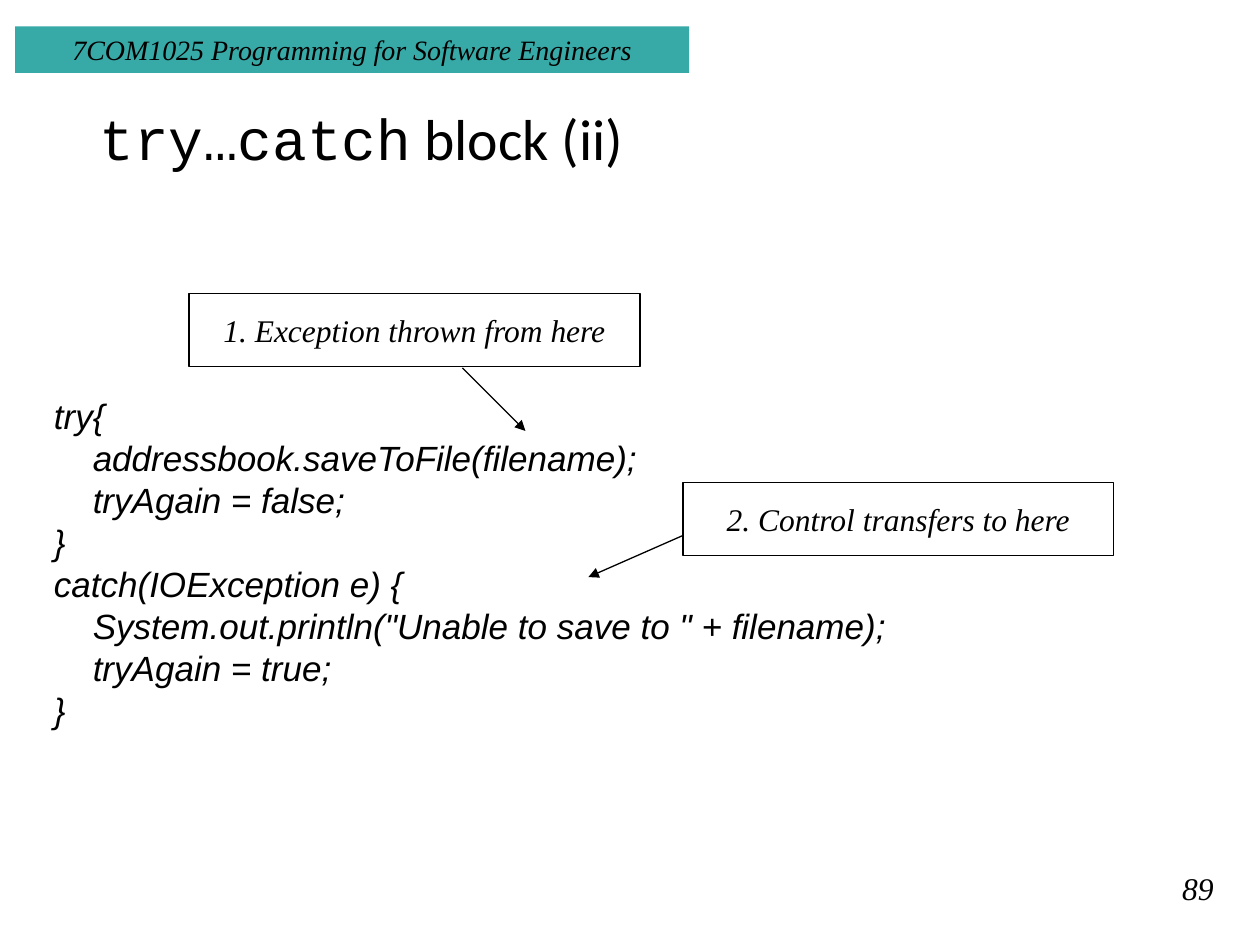
from collections import namedtuple
from dataclasses import dataclass

from lxml import etree
from pptx import Presentation
from pptx import util as u
from pptx.dml.color import RGBColor
from pptx.enum import shapes, text
from pptx.oxml.ns import qn

PX = 9144
Box = namedtuple("Box", "left top width height")


@dataclass(frozen=True)
class Theme:
    ink: RGBColor = RGBColor(0, 0, 0)
    band: RGBColor = RGBColor(0x37, 0xAA, 0xA7)
    serif: str = "Times New Roman"
    code: str = "Arial"
    title: str = "Calibri"
    mono: str = "Courier New"
    band_size: int = 16
    note_size: int = 18
    code_size: int = 20
    title_size: int = 33
    line_width: float = 0.75


THEME = Theme()

CODE = """try{
    addressbook.saveToFile(filename);
    tryAgain = false;
}
catch(IOException e) {
    System.out.println("Unable to save to " + filename);
    tryAgain = true;
}"""

CALLOUTS = [
    ("1. Exception thrown from here", Box(150, 233, 358, 58), (217, 59), (267, 109)),
    ("2. Control transfers to here", Box(542, 383, 342, 58), (0, 42), (-75, 75)),
]


def emu(lengths):
    return [u.Emu(length * PX) for length in lengths]


def style(para, font, size, italic=True):
    para.font.name = font
    para.font.size = u.Pt(size)
    para.font.italic = italic
    para.font.color.rgb = THEME.ink


def add_rectangle(page, box):
    shape = page.shapes.add_shape(shapes.MSO_SHAPE.RECTANGLE, *emu(box))
    shape.shadow.inherit = False
    return shape


def add_label(shape, words, size, align):
    frame = shape.text_frame
    frame.word_wrap = True
    para = frame.paragraphs[0]
    para.text = words
    para.alignment = align
    style(para, THEME.serif, size)
    return frame


def add_header(page, box):
    band = add_rectangle(page, box)
    band.fill.solid()
    band.fill.fore_color.rgb = THEME.band
    band.line.fill.background()
    frame = add_label(band, "7COM1025 Programming for Software Engineers",
                      THEME.band_size, text.PP_ALIGN.CENTER)
    frame.vertical_anchor = text.MSO_ANCHOR.TOP


def add_page_number(page, box):
    add_label(page.shapes.add_textbox(*emu(box)), "89",
              THEME.note_size, text.PP_ALIGN.RIGHT)


def add_title(page, box):
    frame = page.shapes.add_textbox(*emu(box)).text_frame
    frame.word_wrap = True
    frame.vertical_anchor = text.MSO_ANCHOR.MIDDLE
    para = frame.paragraphs[0]
    para.line_spacing = 0.9
    style(para, THEME.title, THEME.title_size, italic=False)
    for words, font in [("try…catch", THEME.mono), (" block (ii)", THEME.title)]:
        span = para.add_run()
        span.text = words
        span.font.name = font


def add_code(page, box):
    frame = page.shapes.add_textbox(*emu(box)).text_frame
    frame.word_wrap = True
    frame.text = CODE
    for para in frame.paragraphs:
        style(para, THEME.code, THEME.code_size)


def add_arrow(page, start, end):
    arrow = page.shapes.add_connector(
        shapes.MSO_CONNECTOR.STRAIGHT, *emu(start + end))
    arrow.line.color.rgb = THEME.ink
    arrow.line.width = u.Pt(THEME.line_width)
    etree.SubElement(arrow.line._get_or_add_ln(), qn("a:tailEnd"), type="triangle")
    etree.SubElement(arrow._element.spPr, qn("a:effectLst"))


def add_callout(page, words, box, start, end):
    frame = add_rectangle(page, box)
    frame.fill.background()
    frame.line.color.rgb = THEME.ink
    frame.line.width = u.Pt(THEME.line_width)
    label = add_label(frame, words, THEME.note_size, text.PP_ALIGN.CENTER)
    label.vertical_anchor = text.MSO_ANCHOR.MIDDLE
    add_arrow(page, *((box.left + x, box.top + y) for x, y in (start, end)))


def main():
    deck = Presentation()
    deck.slide_width, deck.slide_height = emu((1000, 750))
    page = deck.slides.add_slide(deck.slide_layouts[6])
    add_header(page, Box(12, 21, 535, 37))
    add_page_number(page, Box(894, 685, 79, 36))
    add_title(page, Box(69, 40, 862, 145))
    add_code(page, Box(33, 308, 953, 307))
    for callout in CALLOUTS:
        add_callout(page, *callout)
    deck.save("out.pptx")


if __name__ == "__main__":
    main()
